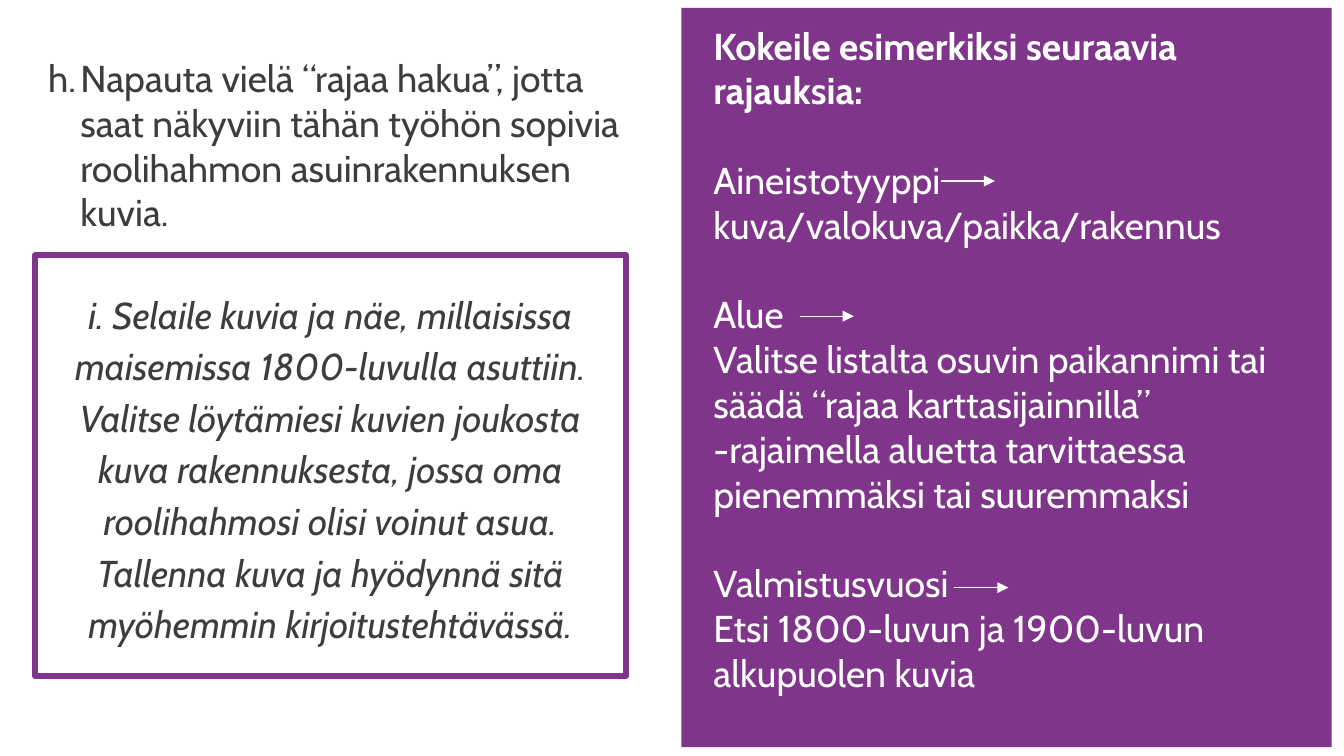
from dataclasses import dataclass

import pptx
import pptx.util
from lxml import etree
from pptx.dml.color import RGBColor
from pptx.enum.shapes import MSO_CONNECTOR, MSO_SHAPE
from pptx.enum.text import MSO_ANCHOR, PP_ALIGN
from pptx.oxml.ns import qn

Pt = pptx.util.Pt


@dataclass(frozen=True)
class Theme:
    purple: RGBColor = RGBColor(0x7F, 0x35, 0x8A)
    dark: RGBColor = RGBColor(0x3D, 0x3D, 0x3D)
    white: RGBColor = RGBColor(0xFF, 0xFF, 0xFF)
    font: str = "Cabin"
    size: int = 20
    inset: float = 7.2
    block_gap: int = 24
    hanging: float = 17.3
    border: int = 3
    arrow: float = 0.75


THEME = Theme()

SEARCH_STEP = (
    "h.\tNapauta vielä “rajaa hakua”, jotta saat näkyviin tähän työhön "
    "sopivia roolihahmon asuinrakennuksen kuvia."
)
BROWSE_STEP = (
    "i. Selaile kuvia ja näe, millaisissa maisemissa 1800-luvulla asuttiin. "
    "Valitse löytämiesi kuvien joukosta kuva rakennuksesta, jossa oma "
    "roolihahmosi olisi voinut asua. Tallenna kuva ja hyödynnä sitä "
    "myöhemmin kirjoitustehtävässä."
)
FILTER_HEADING = "Kokeile esimerkiksi seuraavia rajauksia:"
FILTERS = [
    ("Aineistotyyppi", "kuva/valokuva/paikka/rakennus"),
    (
        "Alue",
        "Valitse listalta osuvin paikannimi tai säädä “rajaa "
        "karttasijainnilla” -rajaimella aluetta tarvittaessa pienemmäksi "
        "tai suuremmaksi",
    ),
    ("Valmistusvuosi", "Etsi 1800-luvun ja 1900-luvun alkupuolen kuvia"),
]
ARROW_LENGTH = 29
ARROW_STARTS = [(504, 97), (428.4, 169.4), (511.2, 314.8)]


def apply_format(target, values):
    for name, value in values.items():
        setattr(target, name, value)


def add_rectangle(slide, box, fill=None, line=None):
    shape = slide.shapes.add_shape(MSO_SHAPE.RECTANGLE, *map(Pt, box))
    shape.shadow.inherit = False
    if fill is None:
        shape.fill.background()
    else:
        shape.fill.solid()
        shape.fill.fore_color.rgb = fill
    if line is None:
        shape.line.fill.background()
    else:
        shape.line.color.rgb = line
        shape.line.width = Pt(THEME.border)
    return shape


def set_up_frame(shape, anchor):
    frame = shape.text_frame
    inset = Pt(THEME.inset)
    apply_format(frame, {
        "word_wrap": True,
        "vertical_anchor": anchor,
        "margin_left": inset,
        "margin_right": inset,
        "margin_top": inset,
        "margin_bottom": inset,
    })
    return frame


def add_text_box(slide, box):
    return set_up_frame(slide.shapes.add_textbox(*map(Pt, box)), MSO_ANCHOR.TOP)


def write_paragraph(paragraph, text, color, paragraph_format=None, **font_format):
    run = paragraph.add_run()
    run.text = text
    apply_format(run.font, {"name": THEME.font, "size": Pt(THEME.size), **font_format})
    run.font.color.rgb = color
    apply_format(paragraph, paragraph_format or {})


def set_hanging_indent(paragraph, width):
    properties = paragraph._p.get_or_add_pPr()
    properties.set("marL", str(Pt(width)))
    properties.set("indent", str(-Pt(width)))


def add_arrow(slide, left, top):
    arrow = slide.shapes.add_connector(
        MSO_CONNECTOR.STRAIGHT, Pt(left), Pt(top), Pt(left + ARROW_LENGTH), Pt(top)
    )
    arrow.line.color.rgb = THEME.white
    arrow.line.width = Pt(THEME.arrow)
    etree.SubElement(arrow.line._get_or_add_ln(), qn("a:tailEnd"), type="triangle")
    etree.SubElement(arrow._element.spPr, qn("a:effectLst"))


def add_search_step(slide):
    paragraph = add_text_box(slide, (18.7, 22.3, 331.2, 105.8)).paragraphs[0]
    set_hanging_indent(paragraph, THEME.hanging)
    write_paragraph(paragraph, SEARCH_STEP, THEME.dark)


def add_browse_step(slide):
    shape = add_rectangle(slide, (18.7, 136.8, 316.8, 225.4), line=THEME.purple)
    frame = set_up_frame(shape, MSO_ANCHOR.MIDDLE)
    write_paragraph(
        frame.paragraphs[0], BROWSE_STEP, THEME.dark,
        {"alignment": PP_ALIGN.CENTER, "line_spacing": 1.15}, italic=True,
    )


def add_filter_panel(slide):
    add_rectangle(slide, (365, 4.3, 348.5, 396), fill=THEME.purple)
    frame = add_text_box(slide, (375.1, 5, 330.5, 391.7))
    write_paragraph(frame.paragraphs[0], FILTER_HEADING, THEME.white, bold=True)
    for name, advice in FILTERS:
        write_paragraph(
            frame.add_paragraph(), name, THEME.white,
            {"space_before": Pt(THEME.block_gap)},
        )
        write_paragraph(frame.add_paragraph(), advice, THEME.white)
    for left, top in ARROW_STARTS:
        add_arrow(slide, left, top)


def main():
    presentation = pptx.Presentation()
    presentation.slide_width = Pt(720)
    presentation.slide_height = Pt(405)
    blank_layout = presentation.slide_layouts[6]
    slide = presentation.slides.add_slide(blank_layout)
    add_filter_panel(slide)
    add_search_step(slide)
    add_browse_step(slide)
    presentation.save("out.pptx")


if __name__ == "__main__":
    main()
